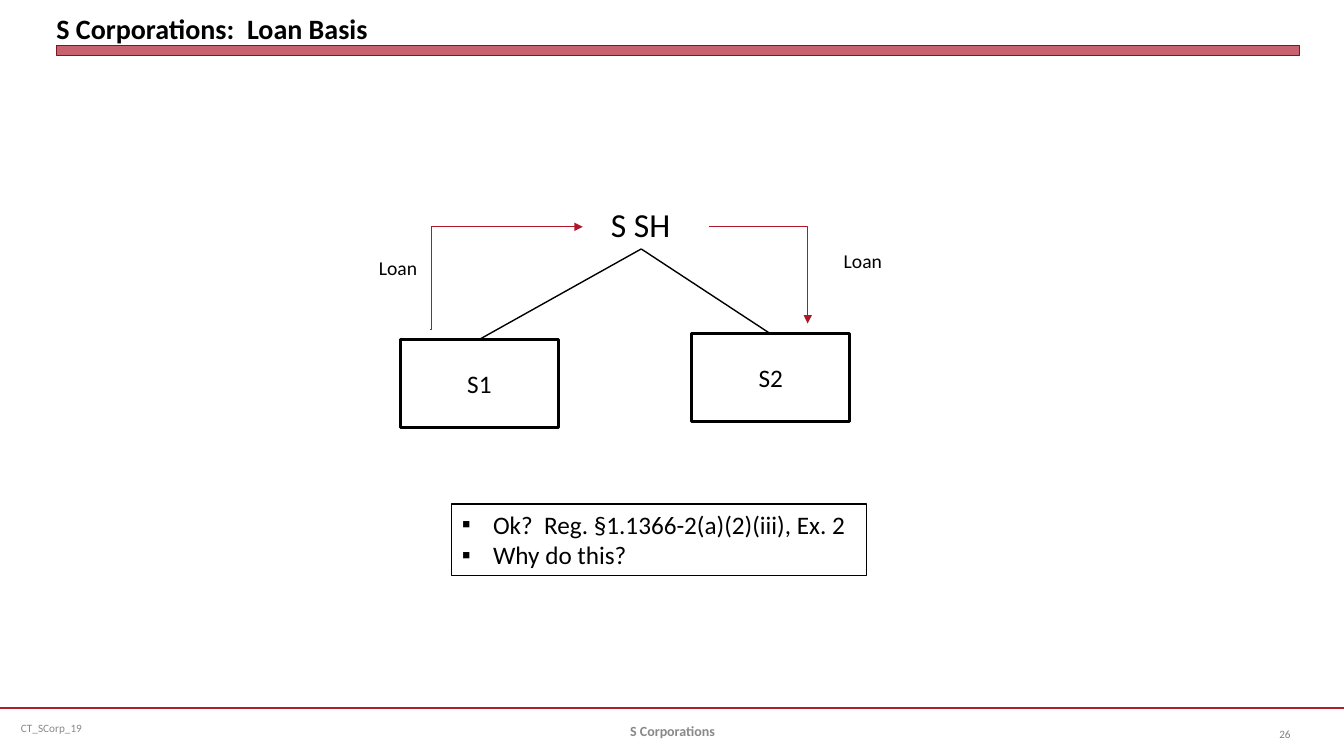
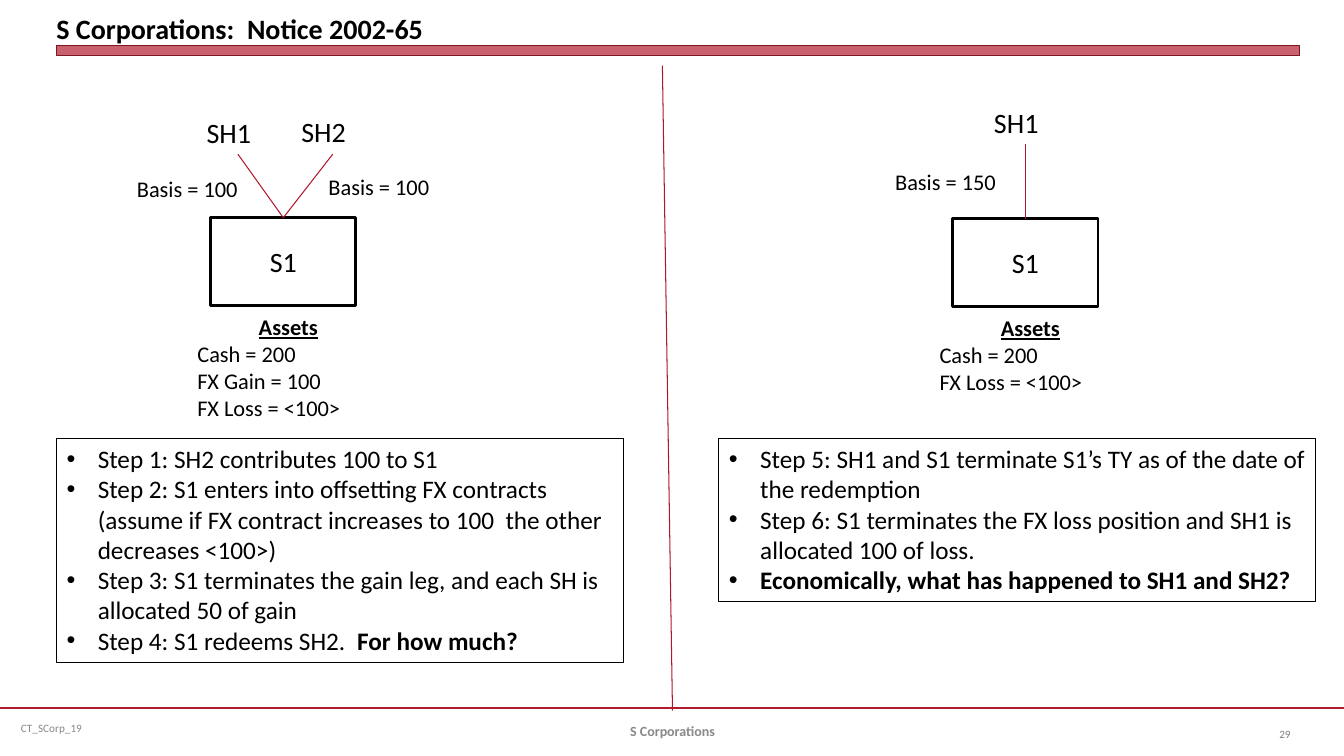
from lxml.etree import SubElement
from pptx import Presentation
from pptx.dml.color import RGBColor
from pptx.enum.shapes import MSO_CONNECTOR, MSO_SHAPE
from pptx.enum.text import MSO_ANCHOR, MSO_AUTO_SIZE, PP_ALIGN
from pptx.oxml.ns import qn
from pptx.util import Pt

# Shared look: 100 px to the inch
EMU_PER_PX = 9144
WIDTH, HEIGHT = 1333, 750
FONT = "Calibri"
BLACK, WHITE = "000000", "FFFFFF"
BAND, BAND_EDGE, ARROW = "B01C2E", "821522", "B0182A"
FOOTER_GREY, NUMBER_GREY = "898989", "808080"
BULLET_INDENT = 31


def px(length):
    return length * EMU_PER_PX


def color(value):
    return RGBColor.from_string(value)


def place(shape, left, top, width, height):
    shape.left, shape.top = px(left), px(top)
    shape.width, shape.height = px(width), px(height)


def outline(shape, value, points):
    shape.line.color.rgb = color(value)
    shape.line.width = Pt(points)


def style(para, size, value=BLACK, bold=False, align=PP_ALIGN.LEFT):
    para.alignment = align
    for span in para.runs:
        font = span.font
        font.name, font.size, font.bold = FONT, Pt(size), bold
        font.color.rgb = color(value)


def add_text(page, at, text, size, value=BLACK, bold=False,
             align=PP_ALIGN.LEFT, anchor=MSO_ANCHOR.TOP, wrap=True):
    box = page.shapes.add_textbox(*map(px, at))
    frame = box.text_frame
    frame.word_wrap = wrap
    frame.vertical_anchor = anchor
    frame.text = text
    for para in frame.paragraphs:
        style(para, size, value, bold, align)
    return box


def add_box(page, at, text, size):
    """Entity box with a heavy black outline."""
    box = page.shapes.add_shape(MSO_SHAPE.RECTANGLE, *map(px, at))
    box.shadow.inherit = False
    box.fill.background()
    outline(box, BLACK, 2)
    frame = box.text_frame
    frame.vertical_anchor = MSO_ANCHOR.MIDDLE
    frame.text = text
    style(frame.paragraphs[0], size, align=PP_ALIGN.CENTER)


def add_line(page, start, end, value=ARROW, points=0.75, kind=MSO_CONNECTOR.STRAIGHT):
    line = page.shapes.add_connector(kind, *map(px, start + end))
    outline(line, value, points)
    SubElement(line.element.spPr, qn("a:effectLst"))
    return line


def add_bent_arrow(page, start, end, bend):
    """Elbow arrow; bend is the turning point in thousandths of its width."""
    arrow = add_line(page, start, end, kind=MSO_CONNECTOR.ELBOW)
    properties = arrow.element.spPr
    guides = properties.find(qn("a:prstGeom")).find(qn("a:avLst"))
    SubElement(guides, qn("a:gd"), name="adj1", fmla=f"val {bend * 100}")
    SubElement(properties.find(qn("a:ln")), qn("a:tailEnd"), type="triangle")


def fill_list(body, at, items, bullet, wrap=True):
    """Outlined list of fixed size; each item is a (plain, bold) pair of texts."""
    place(body, *at)
    outline(body, BLACK, 0.75)
    frame = body.text_frame
    frame.word_wrap = wrap
    frame.auto_size = MSO_AUTO_SIZE.NONE
    for index, item in enumerate(items):
        para = frame.add_paragraph() if index else frame.paragraphs[0]
        properties = para._p.get_or_add_pPr()
        properties.set("marL", str(px(BULLET_INDENT)))
        properties.set("indent", str(-px(BULLET_INDENT)))
        SubElement(properties, qn("a:buFont"), typeface="Arial")
        SubElement(properties, qn("a:buChar"), char=bullet)
        para.space_before = Pt(0)
        for text in filter(None, item):
            para.add_run().text = text
        style(para, 18)
        para.runs[-1].font.bold = bool(item[1])


def add_assets(page, at, lines):
    box = add_text(page, at, "\n".join(["Assets"] + lines), 16)
    heading = box.text_frame.paragraphs[0]
    style(heading, 16, bold=True, align=PP_ALIGN.CENTER)
    heading.runs[0].font.underline = True


def add_page(deck, layout, title, number):
    """New slide with title, band and footer."""
    page = deck.slides.add_slide(deck.slide_layouts[layout])
    page.background.fill.solid()
    page.background.fill.fore_color.rgb = color(WHITE)
    add_line(page, (0, 702), (WIDTH, 702), BAND, 1.5)

    # Title band
    band = page.shapes.add_shape(MSO_SHAPE.RECTANGLE, *map(px, (56, 45, 1233, 10)))
    band.shadow.inherit = False
    band.fill.solid()
    band.fill.fore_color.rgb = color(BAND)
    tint = band.fill._xPr.find(qn("a:solidFill"))[0]
    SubElement(tint, qn("a:alpha"), val="69000")
    outline(band, BAND_EDGE, 0)

    # Title
    heading = page.shapes.title
    place(heading, 56, 5, 1233, 40)
    frame = heading.text_frame
    frame.margin_left = frame.margin_right = frame.margin_top = frame.margin_bottom = 0
    frame.vertical_anchor = MSO_ANCHOR.BOTTOM
    frame.auto_size = MSO_AUTO_SIZE.NONE
    frame.text = title
    style(frame.paragraphs[0], 20, bold=True)

    # Footer
    middle = MSO_ANCHOR.MIDDLE
    add_text(page, (11, 702, 344, 40), "CT_SCorp_19", 8, FOOTER_GREY, anchor=middle)
    add_text(page, (456, 705, 422, 40), "S Corporations", 10, FOOTER_GREY, True,
             PP_ALIGN.CENTER, middle)
    add_text(page, (1223, 708, 67, 40), str(number), 8, NUMBER_GREY,
             align=PP_ALIGN.RIGHT, anchor=middle)
    return page


def loan_basis(deck):
    page = add_page(deck, 1, "S Corporations:  Loan Basis", 26)

    # Shareholder and its two corporations
    add_text(page, (596, 197, 80, 50), "S SH", 24, wrap=False)
    for name, left, top in (("S1", 397, 337), ("S2", 686, 331)):
        add_box(page, (left, top, 157, 87), name, 18)
        add_line(page, (636, 247), (left + 78, top), BLACK, 1)

    # Loans
    add_bent_arrow(page, (426, 327), (578, 225), 12)
    add_bent_arrow(page, (703, 225), (801, 321), 1002)
    for left, top in ((366, 249), (827, 242)):
        add_text(page, (left, top, 63, 34), "Loan", 14, wrap=False)

    fill_list(page.placeholders[1], (448, 500, 411, 71), [
        ("Ok?  Reg. §1.1366-2(a)(2)(iii), Ex. 2", ""),
        ("Why do this?", ""),
    ], "▪", wrap=False)


def notice(deck):
    page = add_page(deck, 3, "S Corporations:  Notice 2002-65", 29)
    add_line(page, (657, 65), (667, 705))

    # Corporation before and after the redemption
    for left, top, assets in (
        (209, 216, ["Cash = 200", "FX Gain = 100", "FX Loss = <100>"]),
        (945, 217, ["Cash = 200", "FX Loss = <100>"]),
    ):
        add_box(page, (left, top, 144, 87), "S1", 20)
        add_assets(page, (left - 23, top + 90, 200, 37 + 27 * len(assets)), assets)

    # Shareholders
    for name, left, top, start, end in (
        ("SH1", 195, 110, (236, 153), (281, 216)),
        ("SH2", 289, 109, (330, 153), (281, 216)),
        ("SH1", 976, 100, (1017, 143), (1017, 217)),
    ):
        add_text(page, (left, top, 82, 44), name, 20)
        add_line(page, start, end)
    for left, top, basis in ((126, 169, 100), (316, 167, 100), (878, 162, 150)):
        add_text(page, (left, top, 153, 37), f"Basis = {basis}", 16)

    # Steps
    fill_list(page.placeholders[1], (56, 435, 562, 222), [
        ("Step 1: SH2 contributes 100 to S1", ""),
        ("Step 2: S1 enters into offsetting FX contracts (assume if FX contract "
         "increases to 100  the other decreases <100>)", ""),
        ("Step 3: S1 terminates the gain leg, and each SH is allocated 50 of gain", ""),
        ("Step 4: S1 redeems SH2.  ", "For how much?"),
    ], "•")
    fill_list(page.placeholders[2], (713, 435, 592, 162), [
        ("Step 5: SH1 and S1 terminate S1’s TY as of the date of the redemption", ""),
        ("Step 6: S1 terminates the FX loss position and SH1 is allocated 100 of loss.", ""),
        ("", "Economically, what has happened to SH1 and SH2?"),
    ], "•")


def main():
    deck = Presentation()
    deck.slide_width, deck.slide_height = px(WIDTH), px(HEIGHT)
    loan_basis(deck)
    notice(deck)
    deck.save("out.pptx")


if __name__ == "__main__":
    main()
